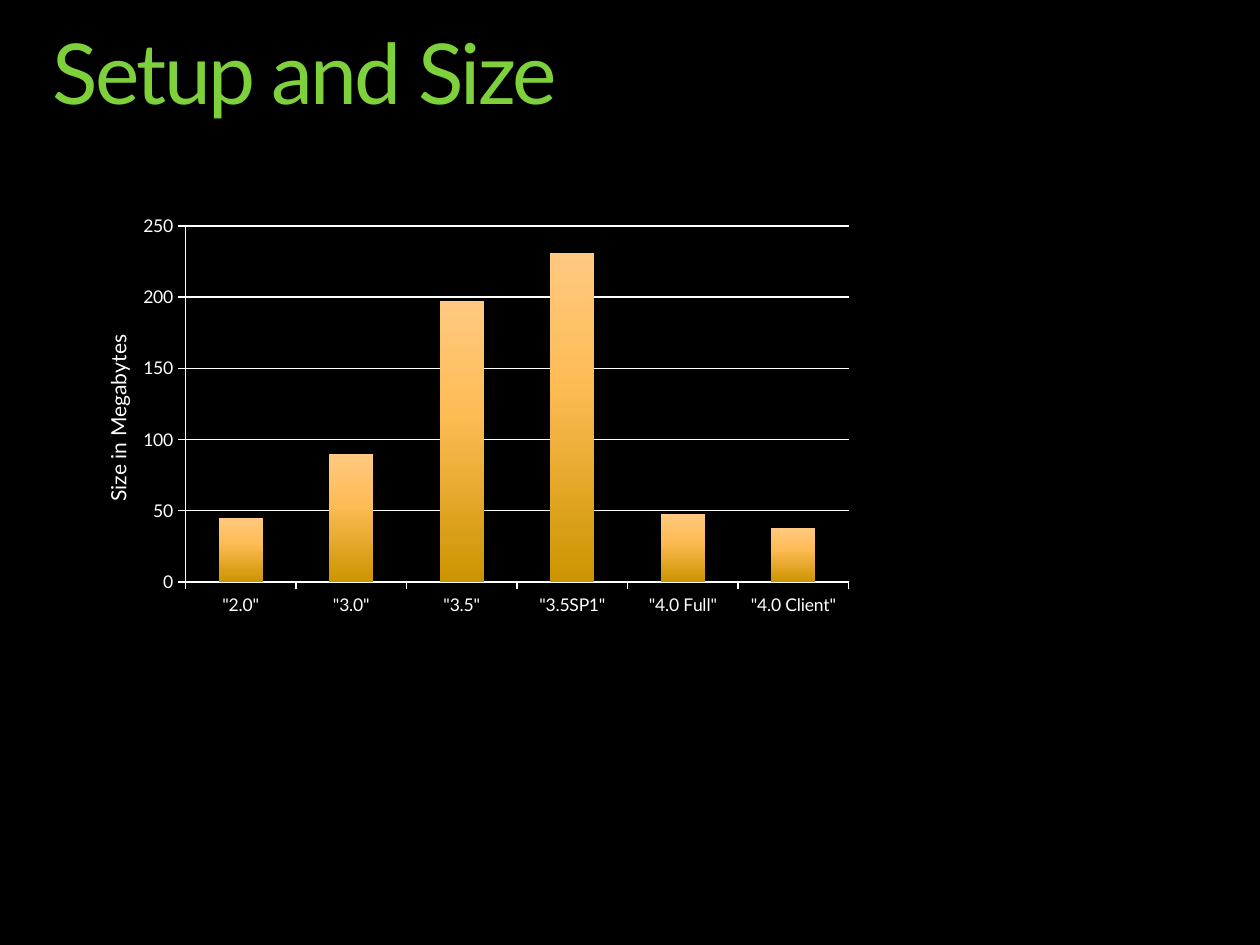
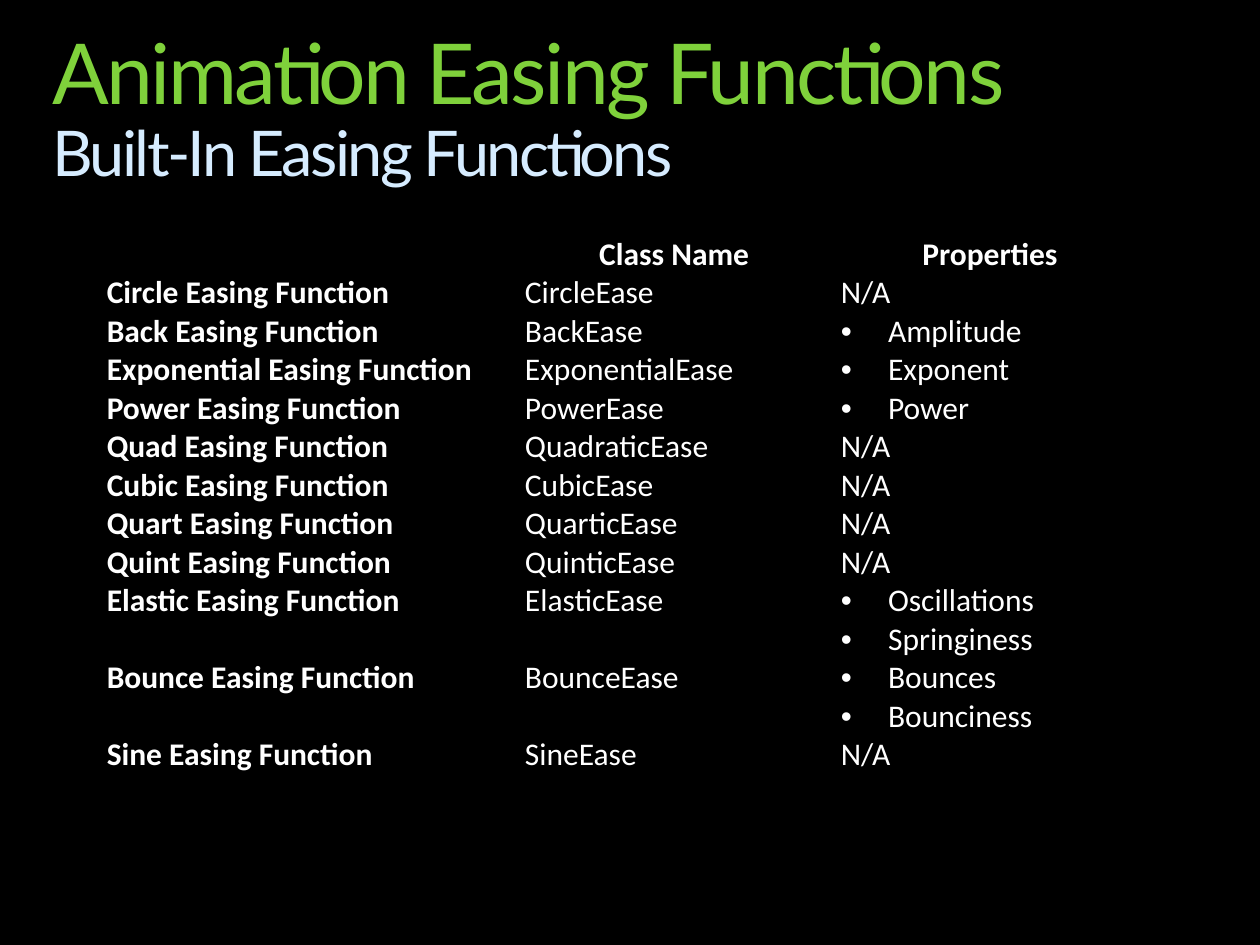
from lxml import etree
from pptx import Presentation
from pptx.chart.data import CategoryChartData
from pptx.dml.color import RGBColor
from pptx.enum.chart import XL_CHART_TYPE, XL_TICK_MARK
from pptx.enum.text import MSO_ANCHOR, MSO_AUTO_SIZE, PP_ALIGN
from pptx.oxml import parse_xml
from pptx.oxml.ns import nsdecls, qn
from pptx.util import Pt

BLACK = RGBColor(0x00, 0x00, 0x00)
WHITE = RGBColor(0xFF, 0xFF, 0xFF)
GREEN = RGBColor(0x7F, 0xD1, 0x3B)
PALE_BLUE = RGBColor(0xD6, 0xEC, 0xFF)
BAR_STOPS = [
    (0, RGBColor(0xFF, 0xC9, 0x80)),
    (40, RGBColor(0xFE, 0xBC, 0x55)),
    (100, RGBColor(0xCC, 0x94, 0x00)),
]
TITLE_FONT = "Lato"
TABLE_FONT = "Calibri"
ROW_HEIGHT = 22

SIZES = [
    ('"2.0"', 45),
    ('"3.0"', 90),
    ('"3.5"', 197),
    ('"3.5SP1"', 231),
    ('"4.0 Full"', 48),
    ('"4.0 Client"', 38),
]

EASINGS = [
    ("Circle", "CircleEase", []),
    ("Back", "BackEase", ["Amplitude"]),
    ("Exponential", "ExponentialEase", ["Exponent"]),
    ("Power", "PowerEase", ["Power"]),
    ("Quad", "QuadraticEase", []),
    ("Cubic", "CubicEase", []),
    ("Quart", "QuarticEase", []),
    ("Quint", "QuinticEase", []),
    ("Elastic", "ElasticEase", ["Oscillations", "Springiness"]),
    ("Bounce", "BounceEase", ["Bounces", "Bounciness"]),
    ("Sine", "SineEase", []),
]


def style_font(font, name, size, color, bold=False):
    font.name = name
    font.size = Pt(size)
    font.color.rgb = color
    font.bold = bold


def manual_layout(x, y, w=None, h=None, inner=False):
    tags = [("layoutTarget", "inner")] if inner else []
    tags += [("xMode", "edge"), ("yMode", "edge"), ("x", x), ("y", y)]
    if w is not None:
        tags += [("w", w), ("h", h)]
    body = "".join(f'<c:{tag} val="{val}"/>' for tag, val in tags)
    return parse_xml(
        f'<c:layout {nsdecls("c")}><c:manualLayout>{body}</c:manualLayout></c:layout>'
    )


def set_layout(parent, layout, before):
    for old in parent.findall(qn("c:layout")):
        parent.remove(old)
    parent.find(qn(before)).addprevious(layout)


def fill_bars(series):
    stops = "".join(
        f'<a:gs pos="{pos * 1000}"><a:srgbClr val="{color}"/></a:gs>'
        for pos, color in BAR_STOPS
    )
    sp_pr = series.format.fill and series._element.get_or_add_spPr()
    sp_pr.insert(0, parse_xml(
        f'<a:gradFill {nsdecls("a")}><a:gsLst>{stops}</a:gsLst>'
        '<a:lin ang="5400000" scaled="0"/></a:gradFill>'
    ))


class Deck:
    def __init__(self):
        self.prs = Presentation()
        self.prs.slide_width = Pt(720)
        self.prs.slide_height = Pt(540)
        self.s = None

    def slide(self, title, subtitle=None):
        self.s = self.prs.slides.add_slide(self.prs.slide_layouts[5])
        fill = self.s.background.fill
        fill.solid()
        fill.fore_color.rgb = BLACK
        self.title(title, subtitle)

    def title(self, title, subtitle):
        sp = self.s.shapes.title
        sp.left, sp.top, sp.width, sp.height = Pt(30), Pt(18), Pt(660), Pt(52.5)
        tf = sp.text_frame
        tf.margin_left = tf.margin_top = tf.margin_right = tf.margin_bottom = 0
        tf.word_wrap = True
        tf.vertical_anchor = MSO_ANCHOR.TOP
        tf.auto_size = MSO_AUTO_SIZE.SHAPE_TO_FIT_TEXT
        tf.text = f"{title}\v{subtitle}" if subtitle else title
        p = tf.paragraphs[0]
        p.alignment = PP_ALIGN.LEFT
        p.line_spacing = 0.9
        for r, (size, color) in zip(p.runs, [(48, GREEN), (36, PALE_BLUE)]):
            style_font(r.font, TITLE_FONT, size, color)
            r._r.get_or_add_rPr().set("spc", "-150")

    def column_chart(self, left, top, width, height, points, axis_title):
        data = CategoryChartData()
        data.categories = [name for name, _ in points]
        data.add_series("Series 1", [value for _, value in points])
        chart = self.s.shapes.add_chart(
            XL_CHART_TYPE.COLUMN_CLUSTERED,
            Pt(left), Pt(top), Pt(width), Pt(height), data,
        ).chart
        chart.has_legend = False
        chart.has_title = False
        style_font(chart.font, TITLE_FONT, 10, WHITE)
        plot = chart.plots[0]
        plot.gap_width = 150
        plot.vary_by_categories = False
        fill_bars(plot.series[0])

        axis = chart.value_axis
        axis.minimum_scale, axis.maximum_scale, axis.major_unit = 0, 250, 50
        axis.has_major_gridlines = True
        axis.axis_title.text_frame.text = axis_title
        r = axis.axis_title.text_frame.paragraphs[0].runs[0]
        style_font(r.font, TITLE_FONT, 12, WHITE)
        for line in (axis.format.line, axis.major_gridlines.format.line,
                     chart.category_axis.format.line):
            line.color.rgb = WHITE
            line.width = Pt(0.75)
        for ax in (axis, chart.category_axis):
            ax.major_tick_mark = XL_TICK_MARK.OUTSIDE
            ax.minor_tick_mark = XL_TICK_MARK.NONE

        area = chart._chartSpace.chart.plotArea
        set_layout(area, manual_layout(0.163, 0.051, 0.793, 0.624, True), "c:barChart")
        set_layout(axis.axis_title._element, manual_layout(0.06, 0.235), "c:overlay")

    def table(self, left, top, widths, header, rows):
        heights = [ROW_HEIGHT] + [ROW_HEIGHT * max(1, len(row[-1])) for row in rows]
        table = self.s.shapes.add_table(
            len(heights), len(widths),
            Pt(left), Pt(top), Pt(sum(widths)), Pt(sum(heights)),
        ).table
        table.horz_banding = False
        for column, width in zip(table.columns, widths):
            column.width = Pt(width)
        for row, height in zip(table.rows, heights):
            row.height = Pt(height)
        for col, text in enumerate(header):
            self.cell(table.cell(0, col), [text], bold=True, align=PP_ALIGN.CENTER)
        for row, (name, class_name, properties) in enumerate(rows, 1):
            self.cell(table.cell(row, 0), [f"{name} Easing Function"], bold=True)
            self.cell(table.cell(row, 1), [class_name])
            self.cell(table.cell(row, 2), properties or ["N/A"], bullets=bool(properties))

    def cell(self, cell, lines, bold=False, align=PP_ALIGN.LEFT, bullets=False):
        cell.margin_left = cell.margin_right = Pt(5)
        cell.margin_top = cell.margin_bottom = 0
        tc_pr = cell._tc.get_or_add_tcPr()
        for side in ("lnL", "lnR", "lnT", "lnB"):
            tc_pr.append(parse_xml(
                f'<a:{side} {nsdecls("a")} w="{Pt(1)}"><a:solidFill>'
                f'<a:srgbClr val="{BLACK}"/></a:solidFill></a:{side}>'
            ))
        cell.fill.background()
        cell.text_frame.text = "\n".join(lines)
        for p in cell.text_frame.paragraphs:
            p.alignment = align
            for r in p.runs:
                style_font(r.font, TABLE_FONT, 18, WHITE, bold)
            if bullets:
                p_pr = p._p.get_or_add_pPr()
                p_pr.set("marL", str(Pt(27)))
                p_pr.set("indent", str(-Pt(27)))
                etree.SubElement(p_pr, qn("a:buFont")).set("typeface", "Arial")
                etree.SubElement(p_pr, qn("a:buChar")).set("char", "•")


def main():
    deck = Deck()
    deck.slide("Setup and Size")
    deck.column_chart(28, 112.5, 478, 326, SIZES, "Size in Megabytes")
    deck.slide("Animation Easing Functions", "Built-In Easing Functions")
    deck.table(56, 134.5, [239, 180.5, 180.5], ["", "Class Name", "Properties"], EASINGS)
    deck.prs.save("out.pptx")


if __name__ == "__main__":
    main()
